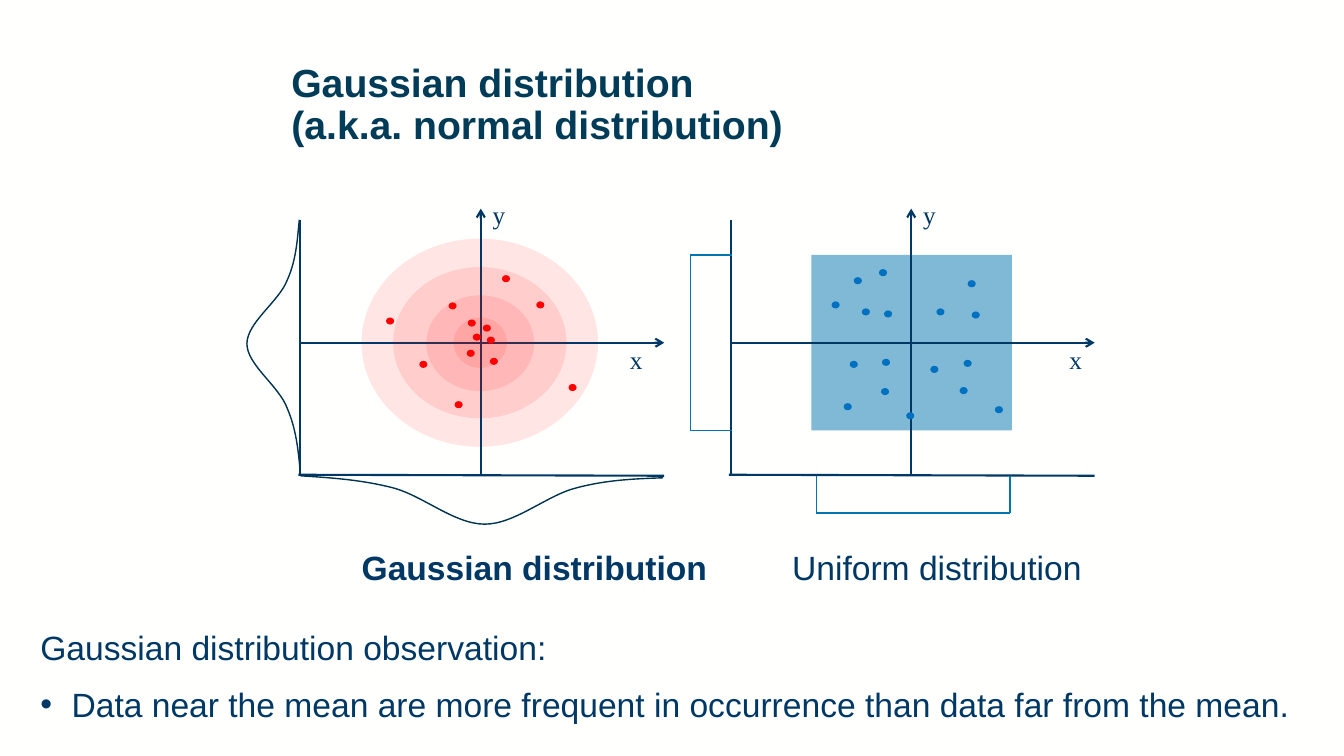
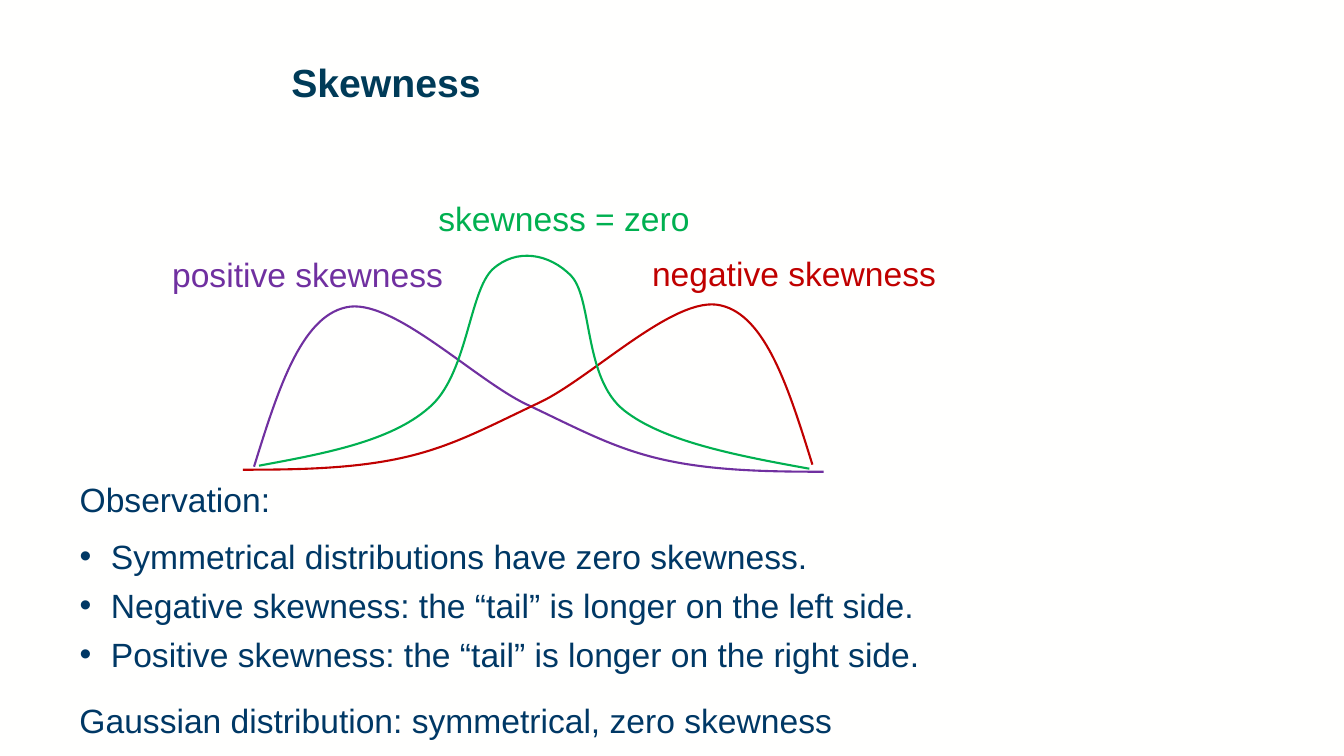
from dataclasses import dataclass
from typing import Optional

from pptx import Presentation
from pptx.dml.color import RGBColor
from pptx.enum.shapes import MSO_CONNECTOR as Link, MSO_SHAPE as Preset
from pptx.enum.text import MSO_ANCHOR as Anchor, MSO_AUTO_SIZE as AutoSize
from pptx.oxml.ns import qn
from pptx.oxml.xmlchemy import OxmlElement
from pptx.shapes.autoshape import Shape
from pptx.slide import Slide, SlideLayout
from pptx.text.text import Font, TextFrame, _Paragraph as Paragraph
from pptx.util import Emu, Pt

EMU_PER_PX = 9144

PAPER = RGBColor(0xFF, 0xFF, 0xFE)
TITLE_NAVY = RGBColor(0x00, 0x3B, 0x58)
NAVY = RGBColor(0x00, 0x38, 0x65)
CURVE_NAVY = RGBColor(0x00, 0x33, 0x4D)
UNIFORM_BLUE = RGBColor(0x00, 0x75, 0xB0)
DOT_BLUE = RGBColor(0x00, 0x70, 0xC0)
RED = RGBColor(0xFF, 0x00, 0x00)
PURPLE = RGBColor(0x70, 0x30, 0xA0)
DARK_RED = RGBColor(0xC0, 0x00, 0x00)
GREEN = RGBColor(0x00, 0xB0, 0x50)

SANS = "Arial"
SERIF = "Times New Roman"
INDENT = 31
CURVE_STEPS = 24

Point = tuple[int, int]


@dataclass(frozen=True)
class Box:
    left: int
    top: int
    width: int
    height: int

    def emu(self) -> tuple[Emu, Emu, Emu, Emu]:
        return px(self.left), px(self.top), px(self.width), px(self.height)


@dataclass(frozen=True)
class Label:
    text: str
    box: Box
    color: RGBColor = NAVY
    bold: bool = False
    font: str = SANS
    size: int = 24


@dataclass(frozen=True)
class Plot:
    left: int
    x_label_left: int


def px(value: float) -> Emu:
    return Emu(round(value * EMU_PER_PX))


def write(paragraph: Paragraph, text: str, *, font: str = SANS, size: int = 24,
          color: RGBColor = NAVY, bold: bool = False, bullet: Optional[str] = None,
          before: int = 0, after: int = 0) -> None:
    properties = paragraph._p.get_or_add_pPr()
    indent = px(INDENT) if bullet else 0
    properties.set("marL", str(indent))
    properties.set("indent", str(-indent))
    mark = OxmlElement("a:buChar" if bullet else "a:buNone")
    if bullet:
        mark.set("char", bullet)
    properties.append(mark)
    paragraph.space_before = Pt(before)
    paragraph.space_after = Pt(after)
    run = paragraph.add_run()
    run.text = text
    run.font.name = font
    run.font.size = Pt(size)
    run.font.bold = bold
    run.font.color.rgb = color


def prepare_frame(frame: TextFrame) -> None:
    frame.word_wrap = True
    frame.auto_size = AutoSize.NONE
    frame.vertical_anchor = Anchor.TOP


def add_label(slide: Slide, label: Label) -> None:
    frame = slide.shapes.add_textbox(*label.box.emu()).text_frame
    prepare_frame(frame)
    write(frame.paragraphs[0], label.text, font=label.font, size=label.size,
          color=label.color, bold=label.bold)


def fill_body(slide: Slide, box: Box, heading: str, items: list[str]) -> None:
    body = slide.placeholders[1]
    body.left, body.top, body.width, body.height = box.emu()
    prepare_frame(body.text_frame)
    write(body.text_frame.paragraphs[0], heading, after=6)
    for item in items:
        write(body.text_frame.add_paragraph(), item, bullet="•", before=6)


def add_filled(slide: Slide, preset: Preset, box: Box, color: RGBColor,
               alpha: int = 100) -> Shape:
    shape = slide.shapes.add_shape(preset, *box.emu())
    shape.shadow.inherit = False
    shape.fill.solid()
    shape.fill.fore_color.rgb = color
    shape.line.fill.background()
    if alpha < 100:
        opacity = OxmlElement("a:alpha")
        opacity.set("val", str(alpha * 1000))
        shape.element.spPr.find(qn("a:solidFill"))[0].append(opacity)
    return shape


def add_line(slide: Slide, start: Point, end: Point, color: RGBColor = NAVY,
             width: float = 1.5, arrow: bool = False) -> None:
    line = slide.shapes.add_connector(Link.STRAIGHT, *map(px, start + end))
    line.line.color.rgb = color
    line.line.width = Pt(width)
    properties = line._element.spPr
    if arrow:
        tip = OxmlElement("a:tailEnd")
        tip.set("type", "arrow")
        properties.find(qn("a:ln")).append(tip)
    properties.append(OxmlElement("a:effectLst"))


def curve_range(values: list[int]) -> tuple[Emu, Emu]:
    reached = []
    for first in range(0, len(values) - 1, 3):
        a, b, c, d = values[first:first + 4]
        for step in range(CURVE_STEPS + 1):
            t = step / CURVE_STEPS
            s = 1 - t
            reached.append(a * s ** 3 + 3 * b * t * s * s + 3 * c * t * t * s + d * t ** 3)
    return px(min(reached)), px(max(reached))


def add_curve(slide: Slide, nodes: list[Point], color: RGBColor, width: float) -> None:
    left, right = curve_range([x for x, _ in nodes])
    top, bottom = curve_range([y for _, y in nodes])
    builder = slide.shapes.build_freeform(left, top)
    builder.add_line_segments([(right, bottom)], close=False)
    curve = builder.convert_to_shape()
    outline = next(curve.element.iter(qn("a:path")))
    for segment in list(outline):
        outline.remove(segment)
    for index, (x, y) in enumerate(nodes):
        if index % 3 == 1 or index == 0:
            segment = OxmlElement("a:cubicBezTo" if index else "a:moveTo")
            outline.append(segment)
        node = OxmlElement("a:pt")
        node.set("x", str(px(x) - left))
        node.set("y", str(px(y) - top))
        segment.append(node)
    curve.shadow.inherit = False
    curve.fill.background()
    curve.line.color.rgb = color
    curve.line.width = Pt(width)


def add_dots(slide: Slide, corners: list[Point], color: RGBColor) -> None:
    for left, top in corners:
        add_filled(slide, Preset.OVAL, Box(left, top, 8, 7), color)


def add_axes(slide: Slide, plot: Plot) -> None:
    left, right, middle = plot.left, plot.left + 361, plot.left + 179
    add_line(slide, (middle, 472), (middle, 207), arrow=True)
    add_line(slide, (left, 340), (right, 340), arrow=True)
    add_line(slide, (left, 472), (left, 218))
    add_line(slide, (left - 2, 471), (right, 472))
    for text, x, y in (("x", plot.x_label_left, 337), ("y", middle + 2, 193)):
        add_label(slide, Label(text, Box(x, y, 37, 41), font=SERIF, size=18))


def add_gaussian_plot(slide: Slide) -> None:
    center_x, center_y = 476, 340
    rings = [Box(center_x - w // 2, center_y - h // 2, w, h)
             for w, h in ((236, 208), (172, 150), (107, 95), (53, 50))]
    outer = add_filled(slide, Preset.OVAL, rings[0], RED, alpha=10)
    outer.line.color.rgb = PAPER
    outer.line.width = Pt(1)
    add_axes(slide, Plot(298, 615))
    for ring in rings[1:]:
        add_filled(slide, Preset.OVAL, ring, RED, alpha=10)
    add_dots(slide, [(445, 300), (469, 331), (464, 317), (483, 334), (486, 355),
                     (416, 358), (532, 299), (498, 273), (383, 315), (564, 381),
                     (479, 322), (463, 347), (451, 398)], RED)
    y_density = [(297, 218), (295, 238), (294, 258), (285, 278), (277, 299),
                 (245, 320), (245, 341), (245, 362), (277, 383), (285, 405),
                 (294, 426), (296, 447), (298, 469)]
    x_density = [(658, 474), (630, 475), (602, 476), (572, 484), (543, 491),
                 (511, 520), (481, 520), (451, 520), (420, 492), (390, 484),
                 (359, 476), (329, 474), (298, 472)]
    for density in (y_density, x_density):
        add_curve(slide, density, CURVE_NAVY, 1)


def add_uniform_plot(slide: Slide) -> None:
    add_filled(slide, Preset.RECTANGLE, Box(805, 253, 199, 174), UNIFORM_BLUE, alpha=50)
    add_axes(slide, Plot(725, 1051))
    add_dots(slide, [(843, 358), (956, 357), (960, 278), (899, 409), (877, 308),
                     (952, 384), (987, 403), (964, 309), (929, 306), (923, 363),
                     (874, 385), (837, 400), (875, 356), (847, 275), (872, 267),
                     (855, 306), (825, 299)], DOT_BLUE)
    y_density = [(726, 253), (685, 253), (685, 427), (726, 427)]
    x_density = [(810, 472), (810, 509), (1002, 509), (1002, 472)]
    for density in (y_density, x_density):
        for start, end in zip(density, density[1:]):
            add_line(slide, start, end, UNIFORM_BLUE, 1)


def style_template(deck: Presentation) -> SlideLayout:
    master = deck.slide_master
    master.background.fill.solid()
    master.background.fill.fore_color.rgb = PAPER
    styles = master.element.find(qn("p:txStyles"))
    level = styles.find(qn("p:titleStyle")).find(qn("a:lvl1pPr"))
    level.set("algn", "l")
    title_font = Font(level.find(qn("a:defRPr")))
    title_font.name = SANS
    title_font.size = Pt(28)
    title_font.bold = True
    title_font.color.rgb = TITLE_NAVY
    layout = deck.slide_layouts[1]
    title = layout.placeholders[0]
    title.left, title.top, title.width, title.height = Box(279, 58, 1007, 97).emu()
    prepare_frame(title.text_frame)
    return layout


def add_titled_slide(deck: Presentation, layout: SlideLayout, title: str) -> Slide:
    slide = deck.slides.add_slide(layout)
    heading = slide.shapes.title.text_frame.paragraphs[0]
    heading.text = title
    heading.line_spacing = 0.9
    return slide


def build_distributions(deck: Presentation, layout: SlideLayout) -> None:
    slide = add_titled_slide(deck, layout,
                             "Gaussian distribution \v(a.k.a. normal distribution)")
    fill_body(slide, Box(30, 617, 1273, 108), "Gaussian distribution observation:",
              ["Data near the mean are more frequent in occurrence "
               "than data far from the mean."])
    add_gaussian_plot(slide)
    add_uniform_plot(slide)
    add_label(slide, Label("Gaussian distribution", Box(349, 538, 366, 50), bold=True))
    add_label(slide, Label("Uniform distribution", Box(776, 538, 311, 50)))


def build_skewness(deck: Presentation, layout: SlideLayout) -> None:
    slide = add_titled_slide(deck, layout, "Skewness")
    fill_body(slide, Box(69, 470, 1151, 205), "Observation:",
              ["Symmetrical distributions have zero skewness.",
               "Negative skewness: the “tail” is longer on the left side.",
               "Positive skewness: the “tail” is longer on the right side."])
    positive = [(252, 463), (275, 389), (298, 315), (343, 305), (388, 294),
                (470, 376), (522, 401), (575, 426), (609, 445), (658, 456),
                (707, 467), (762, 468), (817, 468)]
    negative = [(1058 - x, y - 2) for x, y in positive]
    symmetric = [(257, 462), (322, 450), (387, 438), (425, 405), (464, 373),
                 (465, 289), (489, 267), (512, 246), (545, 251), (567, 274),
                 (588, 297), (579, 375), (619, 407), (658, 438), (731, 452),
                 (803, 465)]
    for nodes, color in ((positive, PURPLE), (negative, DARK_RED), (symmetric, GREEN)):
        add_curve(slide, nodes, color, 1.5)
    for label in (
        Label("skewness = zero", Box(425, 191, 311, 59), GREEN),
        Label("negative skewness", Box(637, 246, 349, 59), DARK_RED),
        Label("positive skewness", Box(161, 247, 334, 59), PURPLE),
        Label("Gaussian distribution: symmetrical, zero skewness",
              Box(69, 689, 821, 50)),
    ):
        add_label(slide, label)


def main() -> None:
    deck = Presentation()
    deck.slide_width, deck.slide_height = px(4000 / 3), px(750)
    layout = style_template(deck)
    build_distributions(deck, layout)
    build_skewness(deck, layout)
    deck.save("out.pptx")


if __name__ == "__main__":
    main()
